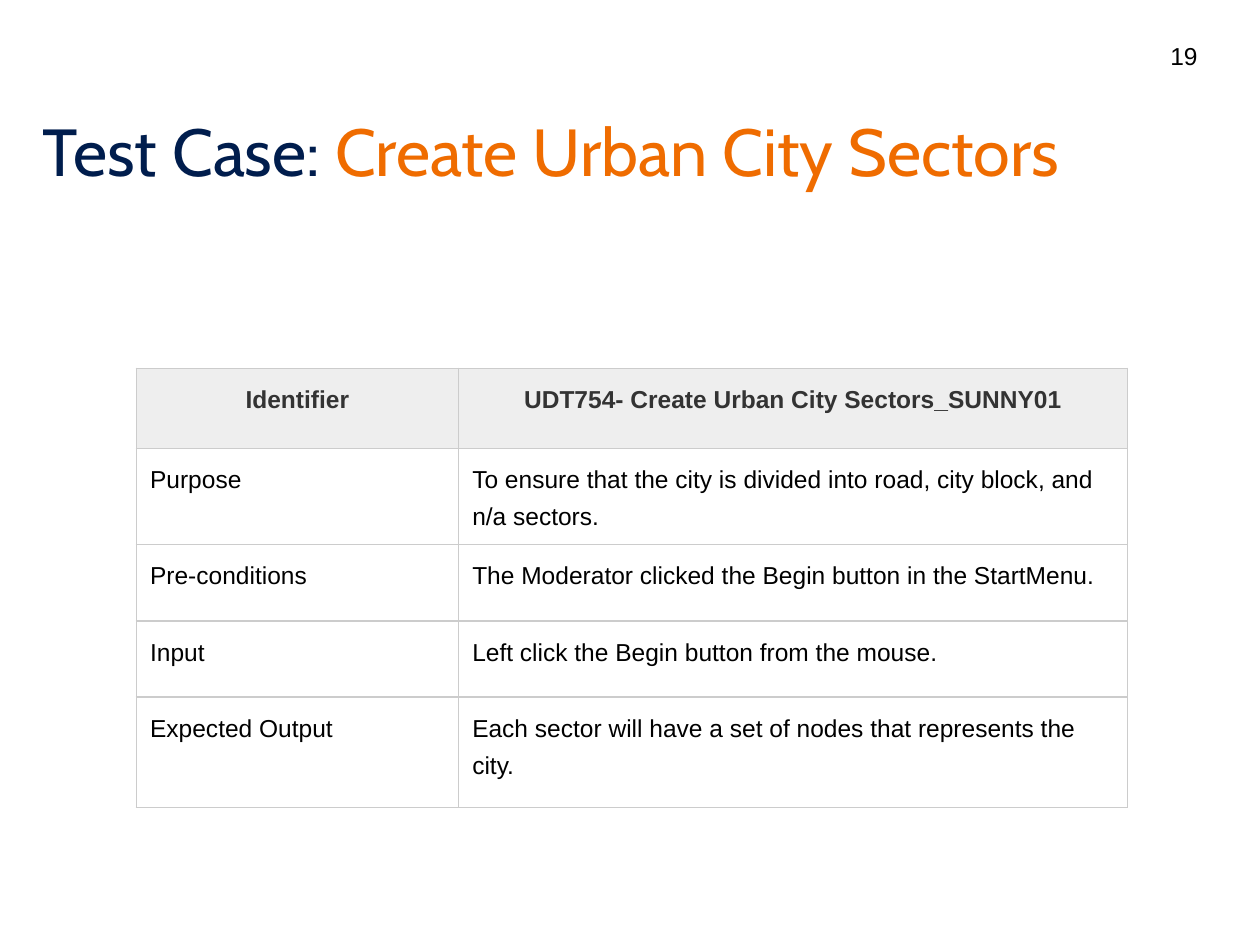
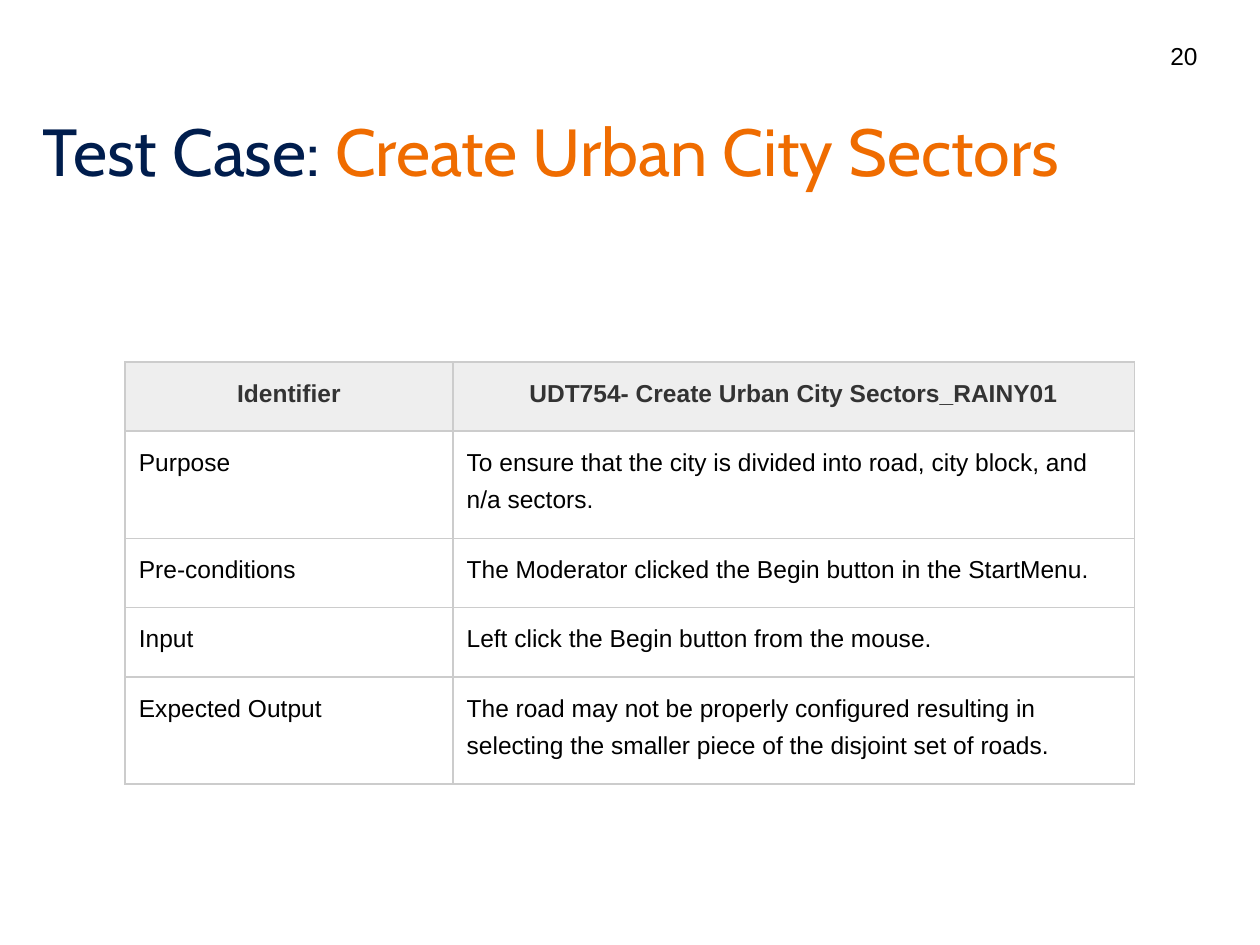
import pptx
import pptx.util
import pptx.dml.color
import pptx.enum.text
import pptx.oxml

Pt = pptx.util.Pt
Align = pptx.enum.text.PP_ALIGN
Anchor = pptx.enum.text.MSO_ANCHOR

NAVY, ORANGE, BLACK = "001D4D", "EF6C00", "000000"
HEADER_INK, HEADER_FILL, RULE = "333333", "EEEEEE", "CCCCCC"

HEADING = [("Test Case: ", NAVY), ("Create Urban City Sectors", ORANGE)]
FIELDS = ["Identifier", "Purpose", "Pre-conditions", "Input", "Expected Output"]
PURPOSE = "To ensure that the city is divided into road, city block, and n/a sectors."
PRECONDITIONS = "The Moderator clicked the Begin button in the StartMenu."
INPUT = "Left click the Begin button from the mouse."

TEST_CASES = [
    {
        "page": "19",
        "identifier": "UDT754- Create Urban City Sectors_SUNNY01",
        "expected": "Each sector will have a set of nodes that represents the city.",
        "corner": (77.9, 210.5),
        "columns": (184.1, 382.4),
        "rows": (45.7, 43.6, 43.6, 43.6, 63),
    },
    {
        "page": "20",
        "identifier": "UDT754- Create Urban City Sectors_RAINY01",
        "expected": "The road may not be properly configured resulting in "
                    "selecting the smaller piece of the disjoint set of roads.",
        "corner": (71.5, 206.8),
        "columns": (187.3, 389.4),
        "rows": (39.6, 61.2, 39.6, 39.6, 61.2),
    },
]


def color(hex_code):
    return pptx.dml.color.RGBColor.from_string(hex_code)


def style(font, name, size, ink, bold=False):
    font.name, font.size, font.bold = name, Pt(size), bold
    font.color.rgb = color(ink)


def add_heading(slide):
    heading = slide.shapes.title
    heading.left, heading.top = Pt(17.3), Pt(30.2)
    heading.width, heading.height = Pt(687.6), Pt(82.1)
    frame = heading.text_frame
    frame.auto_size = pptx.enum.text.MSO_AUTO_SIZE.NONE
    frame.vertical_anchor = Anchor.BOTTOM
    line = frame.paragraphs[0]
    line.alignment = Align.LEFT
    for words, ink in HEADING:
        run = line.add_run()
        run.text = words
        style(run.font, "Cabin", 38, ink)


def add_page_number(slide, page):
    frame = slide.shapes.add_textbox(Pt(661.7), Pt(17.3), Pt(38.9), Pt(28.8)).text_frame
    frame.word_wrap = True
    frame.vertical_anchor = Anchor.MIDDLE
    frame.text = page
    style(frame.paragraphs[0].font, "Arial", 14, BLACK)


def add_borders(cell):
    properties = cell._tc.get_or_add_tcPr()
    for side in ("lnL", "lnR", "lnT", "lnB"):
        properties.append(pptx.oxml.parse_xml(
            f'<a:{side} xmlns:a="http://schemas.openxmlformats.org/drawingml/2006/main" '
            f'w="{Pt(1)}"><a:solidFill><a:srgbClr val="{RULE}"/></a:solidFill></a:{side}>'))


def fill_cell(cell, words, is_header):
    cell.margin_left = cell.margin_right = Pt(7.9)
    cell.margin_top = cell.margin_bottom = Pt(5)
    cell.text = words
    line = cell.text_frame.paragraphs[0]
    line.alignment = Align.CENTER if is_header else Align.LEFT
    line.line_spacing = 1.34
    line.space_after = Pt(8)
    style(line.font, "Arial", 14, HEADER_INK if is_header else BLACK, is_header)
    add_borders(cell)
    if is_header:
        cell.fill.solid()
        cell.fill.fore_color.rgb = color(HEADER_FILL)
    else:
        cell.fill.background()


def add_test_table(slide, case):
    details = [case["identifier"], PURPOSE, PRECONDITIONS, INPUT, case["expected"]]
    left, top = case["corner"]
    table = slide.shapes.add_table(
        len(FIELDS), 2, Pt(left), Pt(top),
        Pt(sum(case["columns"])), Pt(sum(case["rows"]))).table
    table.first_row = table.horz_banding = False
    for column, width in zip(table.columns, case["columns"]):
        column.width = Pt(width)
    for row, height in zip(table.rows, case["rows"]):
        row.height = Pt(height)
    for index, entry in enumerate(zip(FIELDS, details)):
        for cell, words in zip(table.rows[index].cells, entry):
            fill_cell(cell, words, index == 0)


def main():
    deck = pptx.Presentation()
    deck.slide_width, deck.slide_height = Pt(720), Pt(540)
    for case in TEST_CASES:
        slide = deck.slides.add_slide(deck.slide_layouts[5])
        add_heading(slide)
        add_page_number(slide, case["page"])
        add_test_table(slide, case)
    deck.save("out.pptx")


if __name__ == "__main__":
    main()
